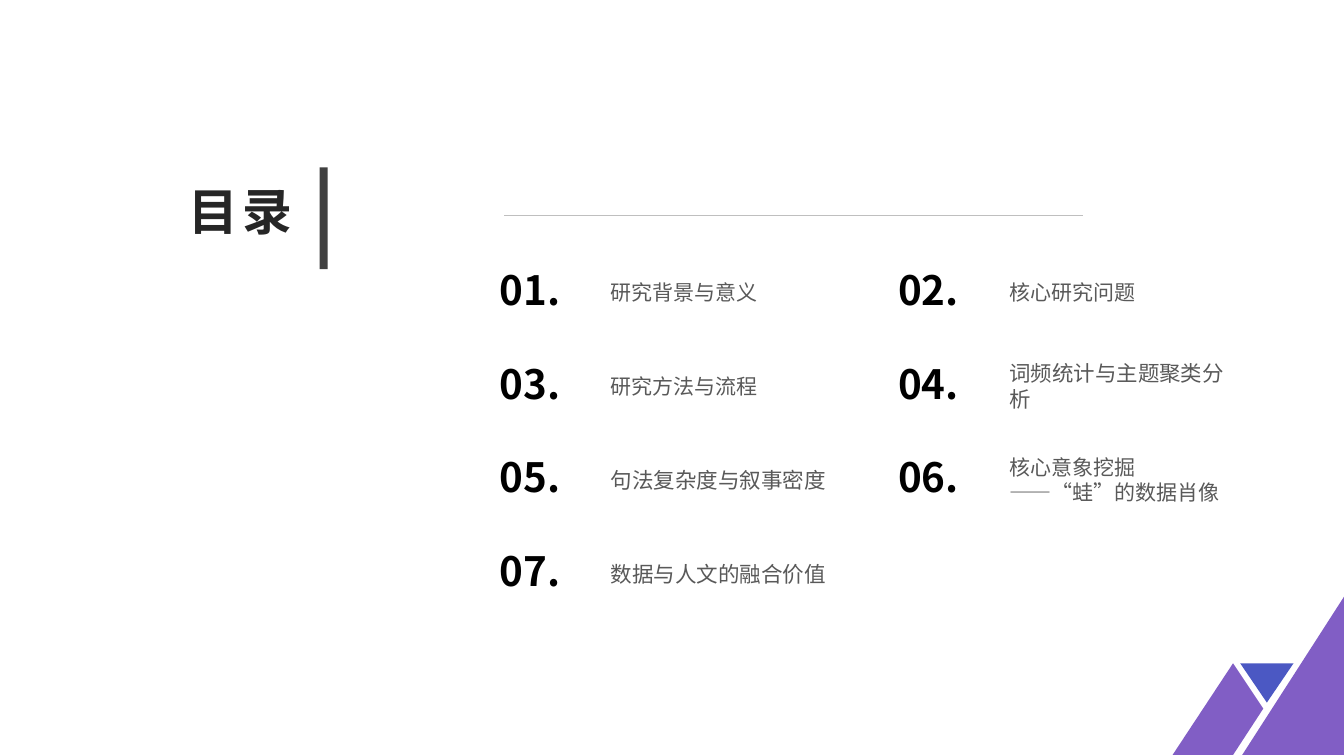
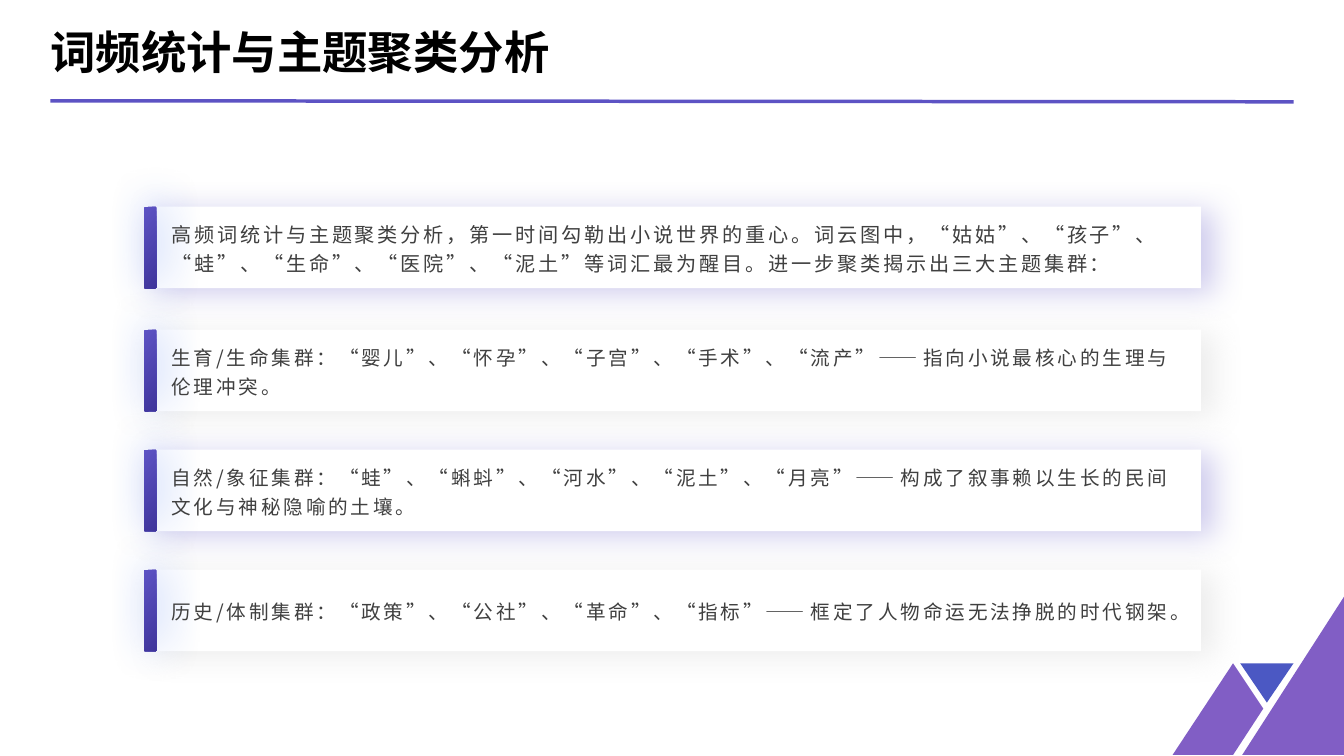
from collections import namedtuple
from dataclasses import dataclass

from lxml.etree import SubElement
from pptx import Presentation
from pptx.dml.color import RGBColor
from pptx.enum.lang import MSO_LANGUAGE_ID as Lang
from pptx.enum.shapes import MSO_CONNECTOR as Connector, MSO_SHAPE as Preset
from pptx.enum.text import MSO_ANCHOR as Anchor, PP_ALIGN as Align
from pptx.oxml.ns import qn
from pptx.util import Inches, Pt

Box = namedtuple("Box", "left top width height")
Shadow = namedtuple("Shadow", "color alpha blur distance angle")


@dataclass(frozen=True)
class Theme:
    font: str = "Noto Sans CJK SC"
    white: str = "FFFFFF"
    black: str = "000000"
    heading: str = "262626"
    marker: str = "404040"
    body: str = "404040"
    label: str = "595959"
    hairline: str = "BFBFBF"
    purple: str = "815EC5"
    blue: str = "4B58C3"
    accent: str = "5D53C4"
    accent_dark: str = "3F359C"
    contents_size: float = 35.6
    number_size: float = 28.8
    title_size: float = 32.4
    violet_shadow: Shadow = Shadow("5D53C4", 30, 22, 9, 17)
    gray_shadow: Shadow = Shadow("808080", 14, 22, 9, 17)
    bar_glow: Shadow = Shadow("4575F0", 45, 30, 5, 315)


THEME = Theme()
SLIDE = Box(0, 0, 13.33, 7.5)

CONTENTS = [
    ("研究背景与意义", 15),
    ("核心研究问题", 15),
    ("研究方法与流程", 15),
    ("词频统计与主题聚类分析", 15.3),
    ("句法复杂度与叙事密度", 15.4),
    ("核心意象挖掘——“蛙”的数据肖像", 15),
    ("数据与人文的融合价值", 15.4),
]

# Top, text and type size of each panel
PANELS = [
    (2.05, "高频词统计与主题聚类分析，第一时间勾勒出小说世界的重心。词云图中，“姑姑”、“孩子”、"
           "“蛙”、“生命”、“医院”、“泥土”等词汇最为醒目。进一步聚类揭示出三大主题集群：", 14.4),
    (3.27, "生育/生命集群：“婴儿”、“怀孕”、“子宫”、“手术”、“流产”"
           "——指向小说最核心的生理与伦理冲突。", 14),
    (4.46, "自然/象征集群：“蛙”、“蝌蚪”、“河水”、“泥土”、“月亮”"
           "——构成了叙事赖以生长的民间文化与神秘隐喻的土壤。", 14),
    (5.65, "历史/体制集群：“政策”、“公社”、“革命”、“指标”"
           "——框定了人物命运无法挣脱的时代钢架。", 14),
]


def rgb(color):
    return RGBColor.from_string(color)


def inches(box):
    return [Inches(length) for length in box]


def set_all(target, values):
    for name, value in values.items():
        setattr(target, name, value)


def paint(shape, color):
    shape.shadow.inherit = False
    shape.fill.solid()
    shape.fill.fore_color.rgb = rgb(color)
    shape.line.fill.background()
    return shape


def add_block(shapes, box, color, preset=Preset.RECTANGLE):
    return paint(shapes.add_shape(preset, *inches(box)), color)


def cast_shadow(shape, shadow):
    effects = shape._element.spPr.find(qn("a:effectLst"))
    outer = SubElement(effects, qn("a:outerShdw"), {
        "blurRad": str(Pt(shadow.blur)), "dist": str(Pt(shadow.distance)),
        "dir": str(shadow.angle * 60000), "algn": "ctr", "rotWithShape": "0"})
    color = SubElement(outer, qn("a:srgbClr"), val=shadow.color)
    SubElement(color, qn("a:alpha"), val=str(shadow.alpha * 1000))


def add_rule(slide, start, end, color, width):
    rule = slide.shapes.add_connector(
        Connector.STRAIGHT, *inches(start), *inches(end))
    rule.line.color.rgb = rgb(color)
    rule.line.width = Pt(width)
    SubElement(rule._element.spPr, qn("a:effectLst"))


def add_text(slide, box, text, size, color, bold=False, spacing=0,
             anchor=Anchor.TOP, insets=(0.1, 0.05), **paragraph_format):
    frame = slide.shapes.add_textbox(*inches(box)).text_frame
    side, edge = inches(insets)
    set_all(frame, {
        "word_wrap": True, "vertical_anchor": anchor,
        "margin_left": side, "margin_right": side,
        "margin_top": edge, "margin_bottom": edge})
    paragraph = frame.paragraphs[0]
    set_all(paragraph, paragraph_format)
    run = paragraph.add_run()
    run.text = text
    set_all(run.font, {"name": THEME.font, "size": Pt(size), "bold": bold,
                       "language_id": Lang.SIMPLIFIED_CHINESE})
    run.font.color.rgb = rgb(color)
    properties = run._r.get_or_add_rPr()
    SubElement(properties, qn("a:ea"), typeface=THEME.font)
    if spacing:
        properties.set("spc", str(spacing * 100))


def add_corner(slide, box):
    """Mountain motif in the bottom right corner."""
    left, top, width, height = box
    shapes = slide.shapes.add_group_shape().shapes
    # Left slope
    outline = [(0.6, 0.66), (0.9, 1.11), (0.6, height), (0, height)]
    points = [inches((left + x, top + y)) for x, y in outline]
    slope = shapes.build_freeform(*points[0])
    slope.add_line_segments(points[1:], close=True)
    paint(slope.convert_to_shape(), THEME.purple)
    # Right peak
    peak = add_block(shapes, Box(left + 0.69, top, width - 0.69, height),
                     THEME.purple, Preset.ISOSCELES_TRIANGLE)
    peak.adjustments[0] = 1
    # Inverted triangle between them
    notch = add_block(shapes, Box(left + 0.67, top + 0.66, 0.53, 0.39),
                      THEME.blue, Preset.ISOSCELES_TRIANGLE)
    notch.rotation = 180


def add_base_slide(deck):
    slide = deck.slides.add_slide(deck.slide_layouts[6])
    slide.background.fill.solid()
    slide.background.fill.fore_color.rgb = rgb(THEME.white)
    add_corner(slide, Box(11.63, 5.92, 1.7, 1.57))
    return slide


def add_contents_heading(slide, box):
    left, top, width, height = box
    add_block(slide.shapes, Box(left + width - 0.08, top, 0.08, height),
              THEME.marker)
    add_text(slide, Box(left, top + 0.08, 1.67, 0.84), "目录",
             THEME.contents_size, THEME.heading, bold=True, spacing=3,
             alignment=Align.RIGHT)


def add_contents_entry(slide, box, number, label, size):
    left, top, width, height = box
    add_text(slide, Box(left, top, 0.82, height), f"{number:02}.",
             THEME.number_size, THEME.black, bold=True)
    add_text(slide, Box(left + 1.1, top + 0.08, width - 1.1, 0.48), label,
             size, THEME.label, anchor=Anchor.MIDDLE, insets=(0.1, 0))


def add_contents_grid(slide, box, columns=2):
    column_step, row_step = 3.95, 0.93
    for index, (label, size) in enumerate(CONTENTS):
        row, column = divmod(index, columns)
        entry = Box(box.left + column * column_step,
                    box.top + row * row_step,
                    box.width - (columns - 1) * column_step, 0.64)
        add_contents_entry(slide, entry, index + 1, label, size)


def add_title(slide, box, title):
    left, top, width, height = box
    add_rule(slide, (left, top + 0.83), (left + width, top + 0.84),
             THEME.accent, 2.5)
    add_text(slide, box, title, THEME.title_size, THEME.black, bold=True,
             anchor=Anchor.MIDDLE, insets=(0, 0))


def add_panel(slide, box, text, size, shadow):
    left, top, width, height = box
    # Card
    cast_shadow(add_block(slide.shapes, box, THEME.white), shadow)
    # Accent bar
    bar = add_block(slide.shapes, Box(left, top, 0.12, height),
                    THEME.accent, Preset.ROUNDED_RECTANGLE)
    bar.adjustments[0] = 0.08
    bar.fill.gradient()
    bar.fill.gradient_angle = 320
    for stop, color in zip(bar.fill.gradient_stops,
                           (THEME.accent, THEME.accent_dark)):
        stop.color.rgb = rgb(color)
    cast_shadow(bar, THEME.bar_glow)
    # Text
    add_text(slide, Box(left + 0.17, top + 0.03, width - 0.17, height - 0.07),
             text, size, THEME.body, spacing=2, anchor=Anchor.MIDDLE,
             line_spacing=1.2)


def build_contents(deck):
    slide = add_base_slide(deck)
    add_contents_heading(slide, Box(1.33, 1.66, 1.92, 1.01))
    add_contents_grid(slide, Box(4.86, 2.58, 7.59, 3.43))
    add_rule(slide, (5, 2.14), (10.74, 2.14), THEME.hairline, 0.5)


def build_clusters(deck):
    slide = add_base_slide(deck)
    add_title(slide, Box(0.5, 0.17, 12.33, 0.67), "词频统计与主题聚类分析")
    shadows = (THEME.violet_shadow, THEME.gray_shadow)
    for index, (top, text, size) in enumerate(PANELS):
        add_panel(slide, Box(1.43, top, 10.48, 0.81), text, size,
                  shadows[index % 2])


def main():
    deck = Presentation()
    set_all(deck, {"slide_width": Inches(SLIDE.width),
                   "slide_height": Inches(SLIDE.height)})
    build_contents(deck)
    build_clusters(deck)
    deck.save("out.pptx")


if __name__ == "__main__":
    main()
